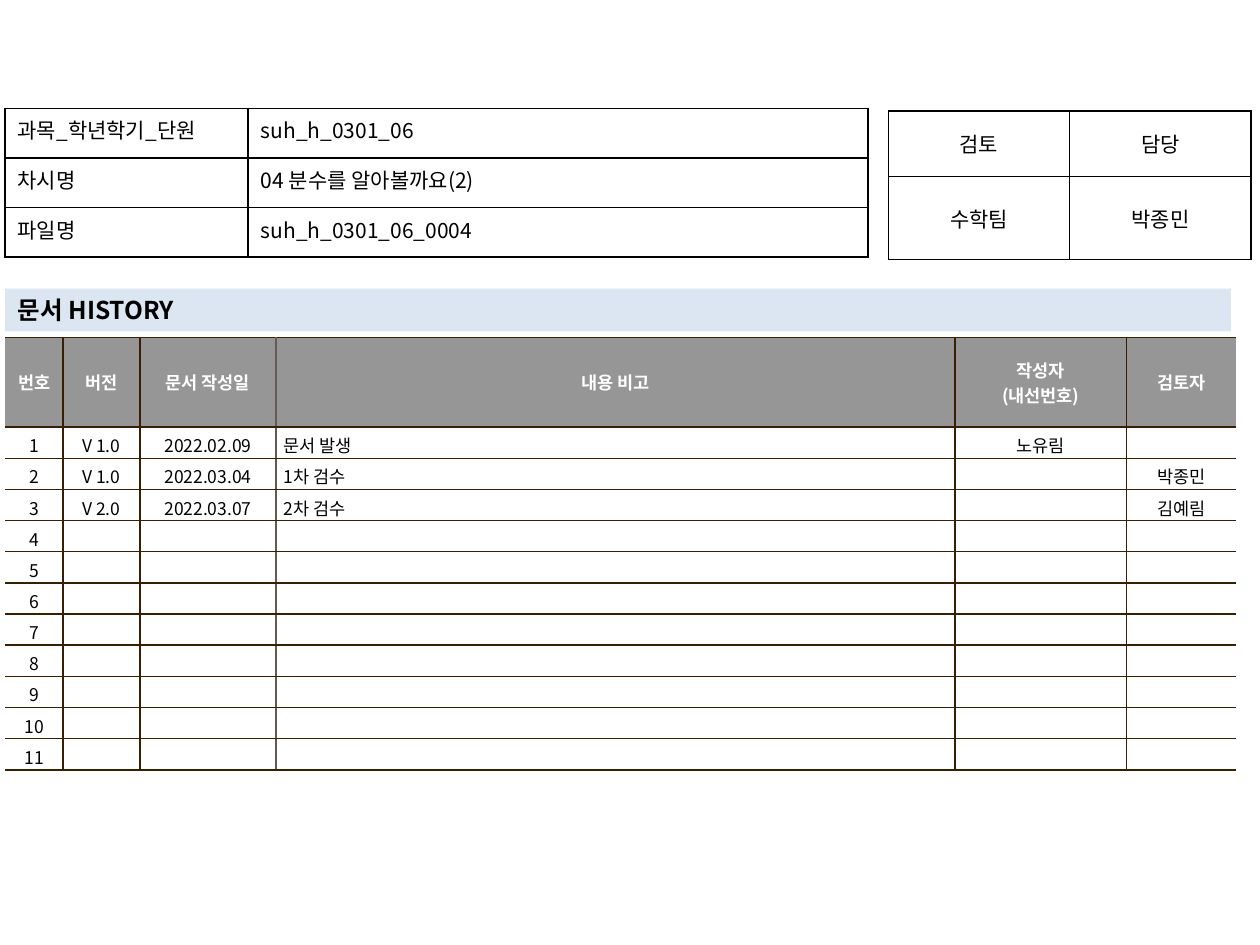
from pptx import Presentation
from pptx.dml.color import RGBColor
from pptx.enum.text import MSO_ANCHOR, MSO_AUTO_SIZE, PP_ALIGN
from pptx.oxml.ns import qn
from pptx.util import Inches, Pt
from lxml.etree import SubElement, Element

BLACK = RGBColor(0x00, 0x00, 0x00)
WHITE = RGBColor(0xFF, 0xFF, 0xFF)
GRAY = RGBColor(0x96, 0x96, 0x96)
PALE = RGBColor(0xDC, 0xE6, 0xF2)
BROWN = RGBColor(0x36, 0x20, 0x00)
TAUPE = RGBColor(0x64, 0x5B, 0x4C)
PLAIN = "{2D5ABB26-0587-4C30-8999-92F81FD0307C}"
LEFT, MID, JUST = PP_ALIGN.LEFT, PP_ALIGN.CENTER, PP_ALIGN.JUSTIFY


def write(frame, text, size=12, color=BLACK, bold=False, align=LEFT,
          font="Noto Sans CJK KR"):
    """Fill a text frame, one paragraph per line of text."""
    for i, line in enumerate(text.split("\n")):
        par = frame.add_paragraph() if i else frame.paragraphs[0]
        par.alignment = align
        if not line:
            # An empty cell keeps the height of its row
            par._p.get_or_add_endParaRPr().set("sz", str(size * 100))
            continue
        run = par.add_run()
        run.text = line
        run.font.size, run.font.bold = Pt(size), bold
        run.font.name = font
        run.font.color.rgb = color
        SubElement(run.font._element, qn("a:ea")).set("typeface", font)


class Sheet:
    def __init__(self, deck):
        self.slide = deck.slides.add_slide(deck.slide_layouts[5])

    def title(self, text, box, fill):
        bar = self.slide.shapes.title
        bar.left, bar.top, bar.width, bar.height = map(Inches, box)
        bar.fill.solid()
        bar.fill.fore_color.rgb = fill
        frame = bar.text_frame
        frame.auto_size = MSO_AUTO_SIZE.NONE
        frame.vertical_anchor = MSO_ANCHOR.TOP
        write(frame, text, size=14, bold=True)

    def table(self, left, top, cols, rows):
        shape = self.slide.shapes.add_table(
            len(rows), len(cols), Inches(left), Inches(top),
            Inches(sum(cols)), Inches(sum(rows)))
        grid = shape.table
        grid._tbl.tblPr.find(qn("a:tableStyleId")).text = PLAIN
        grid.first_row = grid.horz_banding = False
        for col, size in zip(grid.columns, cols):
            col.width = Inches(size)
        for row, size in zip(grid.rows, rows):
            row.height = Inches(size)
        return grid

    def cell(self, cell, text, lines, fill=None, pad=(0.1, 0.05, 0.05),
             anchor=MSO_ANCHOR.MIDDLE, **form):
        side, top, base = map(Inches, pad)
        cell.margin_left = cell.margin_right = side
        cell.margin_top, cell.margin_bottom = top, base
        cell.vertical_anchor = anchor
        if fill is None:
            cell.fill.background()
        else:
            cell.fill.solid()
            cell.fill.fore_color.rgb = fill
        write(cell.text_frame, text, **form)
        self.edges(cell, lines)

    def edges(self, cell, lines):
        """Draw left, right, top and bottom lines; None leaves a side open."""
        props = cell._tc.get_or_add_tcPr()
        for i, (side, color) in enumerate(zip("LRTB", lines)):
            line = Element(qn("a:ln" + side), w=str(Pt(1)))
            if color is None:
                SubElement(line, qn("a:noFill"))
            else:
                paint = SubElement(line, qn("a:solidFill"))
                SubElement(paint, qn("a:srgbClr")).set("val", str(color))
            props.insert(i, line)


def main():
    deck = Presentation()
    deck.slide_width, deck.slide_height = Inches(10), Inches(7.5)
    sheet = Sheet(deck)

    # Section bar
    sheet.title("문서 HISTORY", (0.04, 2.29, 9.73, 0.34), PALE)

    # Review table
    review = [("검토", "담당"), ("수학팀", "박종민")]
    grid = sheet.table(7.05, 0.88, [1.44] * 2, [0.52, 0.66])
    for r, row in enumerate(review):
        for c, text in enumerate(row):
            sheet.cell(grid.cell(r, c), text, [BLACK] * 4, align=MID)

    # Lesson table
    lesson = [("과목_학년학기_단원 ", "suh_h_0301_06"),
              ("차시명", "04 분수를 알아볼까요(2)"),
              ("파일명", "suh_h_0301_06_0004")]
    grid = sheet.table(0.04, 0.86, [1.93, 4.92], [1.18 / 3] * 3)
    for r, row in enumerate(lesson):
        for c, text in enumerate(row):
            sheet.cell(grid.cell(r, c), text, [BLACK] * 4,
                       anchor=MSO_ANCHOR.TOP, align=LEFT if c else JUST)

    # History table
    heads = ["번호", "버전", "문서 작성일", "내용 비고",
             "작성자\n(내선번호)", "검토자"]
    log = [("V 1.0", "2022.02.09", "문서 발생", "노유림", ""),
           ("V 1.0", "2022.03.04", "1차 검수", "", "박종민"),
           ("V 2.0", "2022.03.07", "2차 검수", "", "김예림")]
    count, high, head = 11, 3.43, 0.71
    log += [("",) * 5] * (count - len(log))
    data = [heads] + [(str(n), *row) for n, row in enumerate(log, 1)]
    grid = sheet.table(0.04, 2.68, [0.46, 0.61, 1.08, 5.39, 1.36, 0.87],
                       [head] + [(high - head) / count] * count)
    walls = [None, BROWN, BROWN, TAUPE, BROWN, BROWN, None]
    for r, row in enumerate(data):
        if r:
            form = dict(fill=WHITE, pad=(0.06, 0.04, 0))
        else:
            form = dict(fill=GRAY, pad=(0.06, 0.04, 0.04),
                        color=WHITE, bold=True)
        for c, text in enumerate(row):
            sheet.cell(grid.cell(r, c), text,
                       [walls[c], walls[c + 1], BROWN, BROWN], size=10,
                       align=LEFT if r and c == 3 else MID, **form)

    deck.save("out.pptx")


if __name__ == "__main__":
    main()
